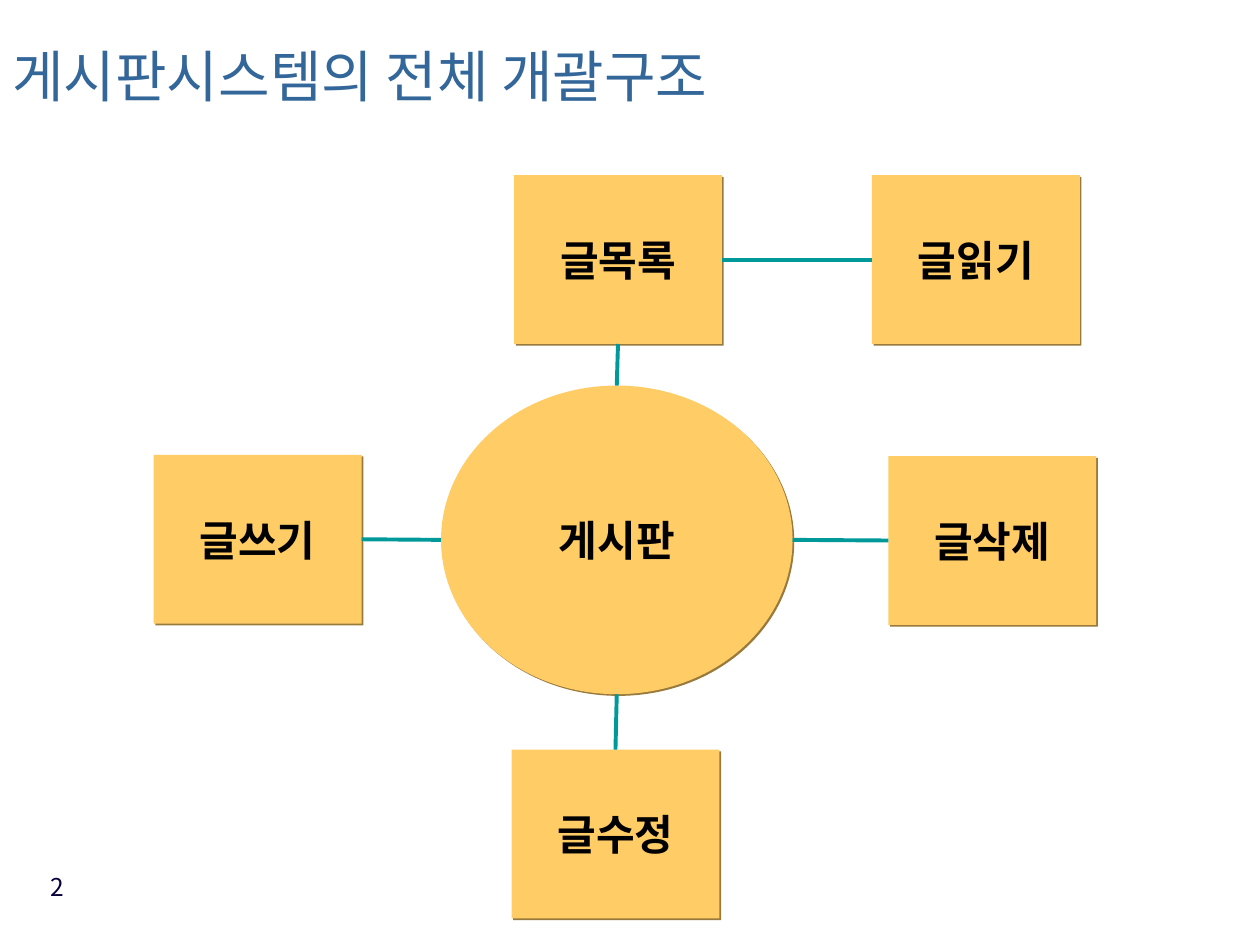
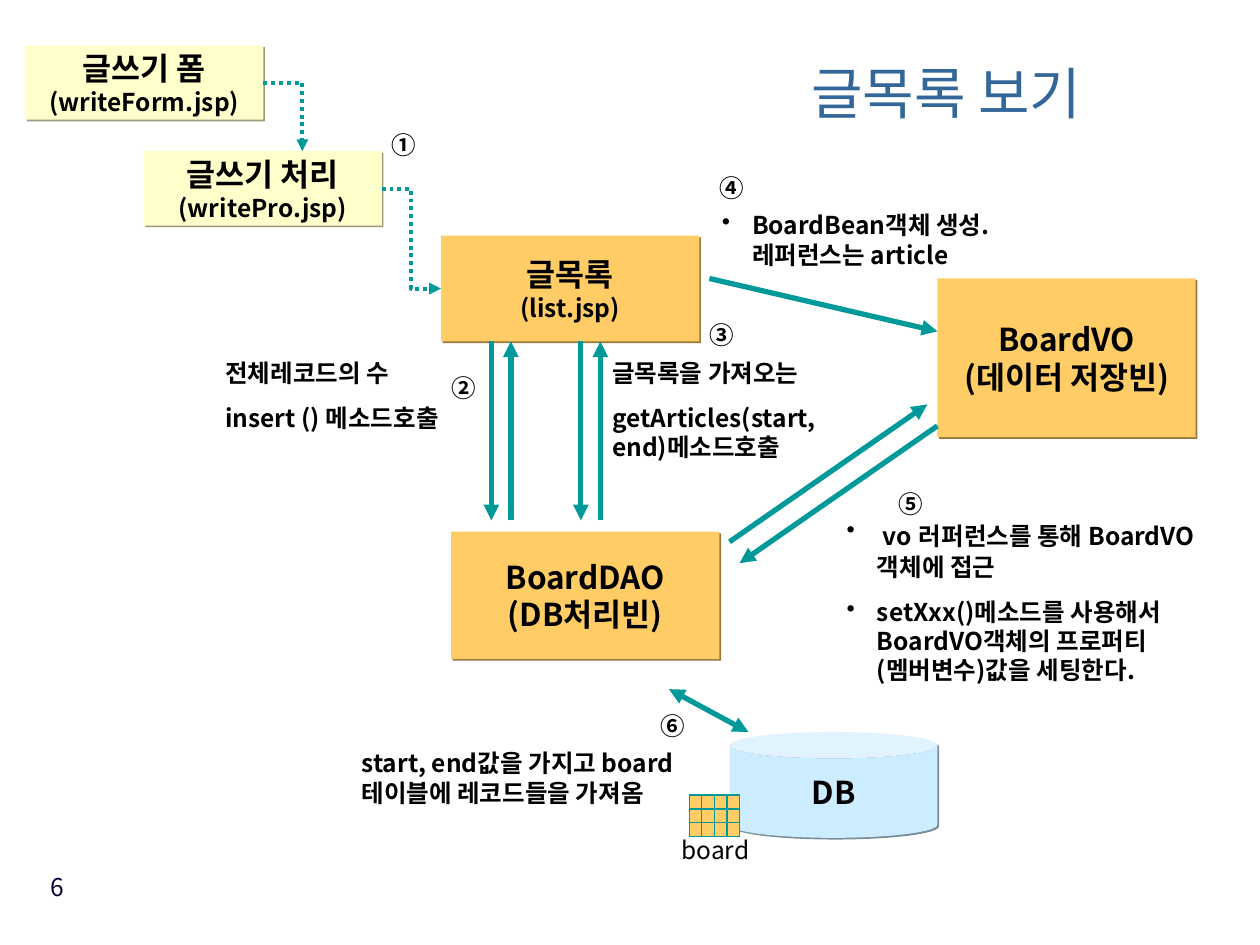
from dataclasses import dataclass
from itertools import product

from lxml.etree import SubElement
from pptx import Presentation
from pptx.dml.color import RGBColor
from pptx.enum.dml import MSO_LINE
from pptx.enum.shapes import MSO_CONNECTOR, MSO_SHAPE
from pptx.enum.text import MSO_ANCHOR, PP_ALIGN
from pptx.oxml.ns import qn
from pptx.util import Inches, Pt

FONT = "Noto Sans CJK KR"
INK, TEAL, TITLE, NUMBER = "010000", "009999", "336699", "08003A"
ORANGE, CREAM, SKY = "FFCC66", "FFFFCC", "CCECFF"
SHADOWS = {ORANGE: "997A3D", CREAM: "99997A", SKY: "7A8E99"}
CELL = Inches(0.1)
NODE_W, NODE_H = 16.5, 13.4


def rgb(color):
    return RGBColor.from_string(color)


def cells(*values):
    return [round(v * CELL) for v in values]


@dataclass
class Area:
    shapes: object
    left: float = 0
    top: float = 0

    def inner(self, left, top):
        return Area(self.shapes, self.left + left, self.top + top)

    def box(self, x, y, w, h):
        return cells(self.left + x, self.top + y, w, h)

    def ends(self, start, end):
        return cells(self.left + start[0], self.top + start[1],
                     self.left + end[0], self.top + end[1])


def style_run(r, size, color=INK, bold=False):
    r.font.size, r.font.bold, r.font.name = Pt(size), bold, FONT
    r.font.color.rgb = rgb(color)
    SubElement(r.font._element, qn("a:ea")).set("typeface", FONT)


def set_bullet(p):
    pPr = p._p.get_or_add_pPr()
    pPr.set("marL", str(Inches(0.24)))
    pPr.set("indent", str(-Inches(0.24)))
    color = SubElement(pPr, qn("a:buClr"))
    SubElement(color, qn("a:srgbClr")).set("val", INK)
    SubElement(pPr, qn("a:buChar")).set("char", "•")


def add_text(area, box, lines, size=14, color=INK, bold=True, inset=(1, 0.5),
             before=8.8, bullet=False, align=PP_ALIGN.LEFT):
    sp = area.shapes.add_textbox(*area.box(*box))
    tf = sp.text_frame
    tf.word_wrap = True
    tf.margin_left, tf.margin_top = tf.margin_right, tf.margin_bottom = cells(*inset)
    tf.text = "\n".join(lines)
    for p in tf.paragraphs:
        p.alignment, p.space_before = align, Pt(before)
        if bullet:
            set_bullet(p)
        for r in p.runs:
            style_run(r, size, color, bold)
    return tf


def add_step(area, x, y, mark):
    add_text(area, (x, y, 2.4, 2.3), [mark], inset=(0, 0))


def add_node(area, box, lines, sizes, fill=ORANGE, preset=MSO_SHAPE.RECTANGLE):
    sp = area.shapes.add_shape(preset, *area.box(*box))
    sp.fill.solid()
    sp.fill.fore_color.rgb = rgb(fill)
    sp.line.fill.background()
    sp.shadow.inherit = False
    effects = sp._element.spPr.find(qn("a:effectLst"))
    shadow = SubElement(effects, qn("a:outerShdw"), dist=str(Pt(1.4)),
                        dir="2700000", algn="ctr", rotWithShape="0")
    SubElement(shadow, qn("a:srgbClr")).set("val", SHADOWS[fill])
    tf = sp.text_frame
    tf.word_wrap, tf.vertical_anchor = False, MSO_ANCHOR.MIDDLE
    tf.text = "\n".join(lines)
    for p, size in zip(tf.paragraphs, sizes):
        p.alignment = PP_ALIGN.CENTER
        style_run(p.runs[0], size, bold=True)


def add_link(area, start, end, width=3, head=False, tail=True, dotted=False, preset=None):
    kind = MSO_CONNECTOR.ELBOW if preset else MSO_CONNECTOR.STRAIGHT
    cxn = area.shapes.add_connector(kind, *area.ends(start, end))
    spPr = cxn._element.spPr
    if preset:
        spPr.find(qn("a:prstGeom")).set("prst", preset)
    cxn.line.color.rgb = rgb(TEAL)
    cxn.line.width = Pt(width)
    if dotted:
        cxn.line.dash_style = MSO_LINE.ROUND_DOT
    for tag, shown in (("a:headEnd", head), ("a:tailEnd", tail)):
        if shown:
            SubElement(spPr.find(qn("a:ln")), qn(tag)).set("type", "triangle")
    SubElement(spPr, qn("a:effectLst"))


def add_page(prs, title, title_box, number):
    area = Area(prs.slides.add_slide(prs.slide_layouts[6]).shapes)
    tf = add_text(area, title_box, [title], 32, TITLE, False, before=0)
    tf.vertical_anchor = MSO_ANCHOR.MIDDLE
    tf.paragraphs[0].line_spacing = 0.7
    add_text(area, (1.4, 68.7, 4.7, 5.2), [number], color=NUMBER, bold=False,
             before=0, align=PP_ALIGN.RIGHT)
    return area


def board_map(area):
    hub_w, hub_h = 27.9, 24.5
    hub_x, hub_y = 22.8, 16.7
    mid_x, mid_y = hub_x + hub_w / 2, hub_y + hub_h / 2
    add_node(area, (hub_x, hub_y, hub_w, hub_h), ["게시판"], [24], preset=MSO_SHAPE.OVAL)
    nodes = {"글목록": (28.6, 0), "글수정": (28.4, 45.6), "글삭제": (58.3, 22.3),
             "글쓰기": (0, 22.2), "글읽기": (57, 0)}
    for name, (x, y) in nodes.items():
        add_node(area, (x, y, NODE_W, NODE_H), [name], [24])

    def side(name, across, down):
        x, y = nodes[name]
        return x + across * NODE_W, y + down * NODE_H

    links = [
        (side("글목록", 0.5, 1), (mid_x, hub_y)),
        ((mid_x, hub_y + hub_h), side("글수정", 0.5, 0)),
        (side("글쓰기", 1, 0.5), (hub_x, mid_y)),
        ((hub_x + hub_w, mid_y), side("글삭제", 0, 0.5)),
        (side("글목록", 1, 0.5), side("글읽기", 0, 0.5)),
    ]
    for start, end in links:
        add_link(area, start, end, 2.25, tail=False)


def write_flow(area):
    w, h = 18.9, 5.9
    add_node(area, (9.4, 8.4, w, h), ["글쓰기 처리", "(writePro.jsp)"], [18, 14], CREAM)
    add_node(area, (0, 0, w, h), ["글쓰기 폼", "(writeForm.jsp)"], [18, 14], CREAM)
    add_link(area, (w, 3), (22, 8.4), 2.25, dotted=True, preset="bentConnector2")
    add_link(area, (9.4 + w, 11.4), (33, 19.3), 2.25, dotted=True, preset="bentConnector3")
    add_step(area, 29.1, 6.7, "①")


def list_calls(area):
    add_node(area, (18.1, 0, 20.5, 8.4), ["글목록", "(list.jsp)"], [18, 14])
    add_node(area, (18.9, 23.5, 21.3, 10.1), ["BoardDAO", "(DB처리빈)"], [18, 18])
    for down in (22.1, 29.2):
        up = down + 1.55
        add_link(area, (down, 8.4), (down, 22.6))
        add_link(area, (up, 22.6), (up, 8.4))
    add_text(area, (0, 9.2, 22.1, 6.9), ["전체레코드의 수", "insert () 메소드호출"])
    add_text(area, (30.7, 9.2, 22.1, 9.2),
             ["글목록을 가져오는", "getArticles(start, end)메소드호출"])
    add_step(area, 18.9, 10.9, "②")
    add_step(area, 39.4, 6.7, "③")


def value_object(area):
    add_node(area, (18.1, 8.4, 20.5, 12.6), ["BoardVO", "(데이터 저장빈)"], [18, 18])
    add_link(area, (18.1, 12.6), (0, 8.4), head=True, tail=False)
    add_link(area, (1.6, 29.3), (17.3, 18.4))
    add_link(area, (2.4, 31), (18.1, 20.1), head=True, tail=False)
    add_text(area, (0, 2.5, 25.2, 5.7), ["BoardBean객체 생성. 레퍼런스는 article"], bullet=True)
    tf = add_text(area, (10.9, 26.6, 29.1, 14.6),
                  [" vo", "setXxx()메소드를 사용해서 BoardVO객체의 프로퍼티(멤버변수)값을 세팅한다."],
                  inset=(0, 0.5), bullet=True)
    for text, size, bold in ((" ", 18, False), ("러퍼런스를 통해 BoardVO객체에 접근", 14, True)):
        r = tf.paragraphs[0].add_run()
        r.text = text
        style_run(r, size, bold=bold)
    add_step(area, 0.8, 0, "④")
    add_step(area, 15, 25.1, "⑤")


def database(area):
    add_node(area, (29.2, 3.4, 16.5, 8.4), ["DB"], [18], SKY, MSO_SHAPE.CAN)
    for row, col in product(range(3), range(4)):
        sp = area.shapes.add_shape(MSO_SHAPE.RECTANGLE,
                                   *area.box(26 + col, 8.4 + 1.1 * row, 1, 1.1))
        sp.shadow.inherit = False
        sp.fill.solid()
        sp.fill.fore_color.rgb = rgb(ORANGE)
        sp.line.color.rgb = rgb(TEAL)
        sp.line.width = Pt(0.75)
    add_text(area, (24.4, 11.1, 10.2, 3.4), ["board"], bold=False)
    add_text(area, (0, 4.2, 26, 8), ["start, end값을 가지고 board 테이블에 레코드들을 가져옴"],
             inset=(0, 0.5))
    add_link(area, (24.4, 0), (30.7, 3.4), head=True)
    add_step(area, 23.7, 1.7, "⑥")


def main():
    prs = Presentation()
    prs.slide_width, prs.slide_height = cells(100, 75)
    overview = add_page(prs, "게시판시스템의 전체 개괄구조", (0, 2.1, 64.2, 9), "2")
    board_map(overview.inner(12.2, 13.9))
    listing = add_page(prs, "글목록 보기", (63.4, 1.7, 34.8, 12.5), "6")
    write_flow(listing.inner(2, 3.6))
    list_calls(listing.inner(16.9, 18.7))
    value_object(listing.inner(56.3, 13.7))
    database(listing.inner(28.7, 54.7))
    prs.save("out.pptx")


if __name__ == "__main__":
    main()
